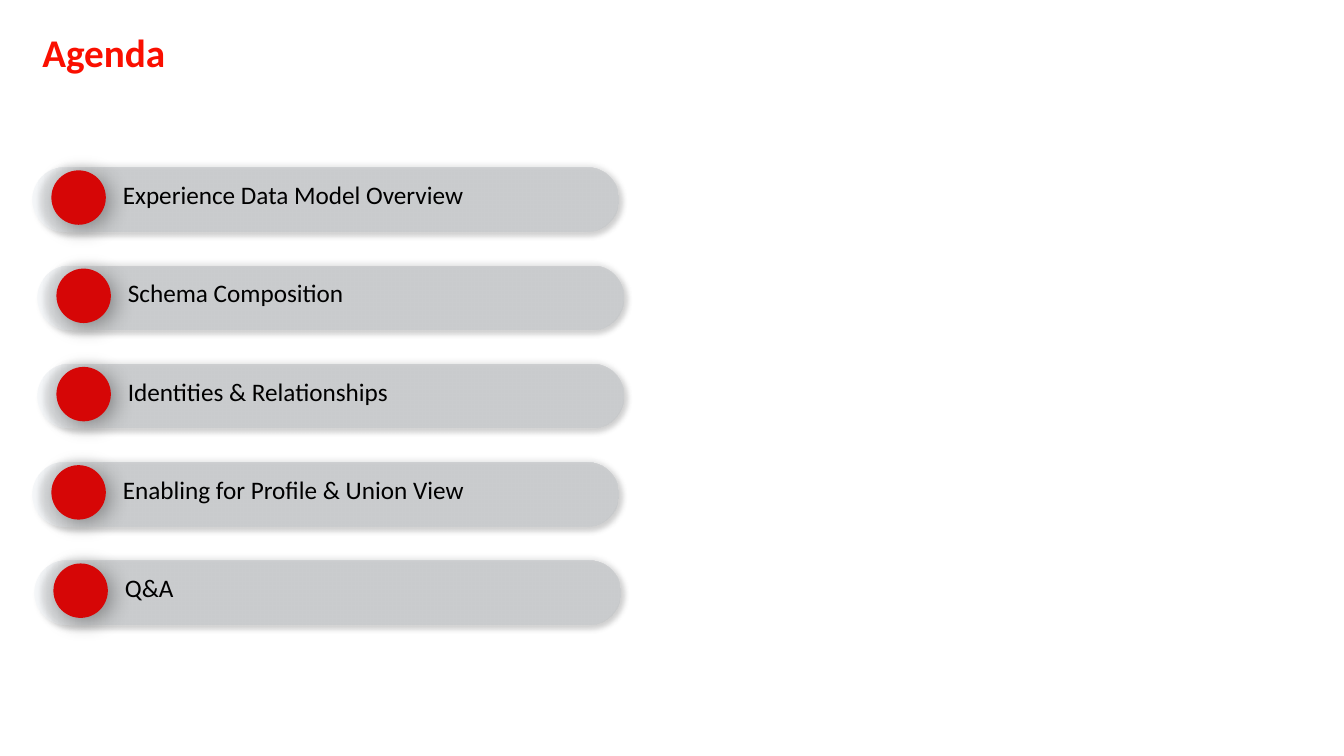
import pptx
import pptx.util
from pptx.dml.color import RGBColor
from pptx.enum.shapes import MSO_SHAPE
from pptx.enum.text import MSO_ANCHOR, PP_ALIGN
from pptx.oxml import parse_xml
from pptx.oxml.ns import nsdecls, qn
from pptx.util import Inches

THEME = {
    "font": "Calibri", "title size": 28, "item size": 18,
    "title": RGBColor.from_string("FA0F00"),
    "text": RGBColor.from_string("000000"),
    "dot": RGBColor.from_string("D60606"),
    "pale": RGBColor.from_string("F4F6F8"),
    "grey": RGBColor.from_string("DBDDDF"),
}


def add_shape(kind, left, top, width, height, alpha, blur, gap):
    """Add a borderless shape with a black shadow falling at 45 degrees."""
    shape = slide.shapes.add_shape(
        kind, Inches(left), Inches(top), Inches(width), Inches(height))
    shape.line.fill.background()
    shape.fill.solid()
    shape.shadow.inherit = False
    effects = shape.element.spPr.find(qn("a:effectLst"))
    effects.append(parse_xml(
        f'<a:outerShdw {nsdecls("a")} blurRad="{blur * 12700}" '
        f'dist="{gap * 12700}" dir="2700000" algn="tl" rotWithShape="0">'
        f'<a:srgbClr val="000000"><a:alpha val="{alpha * 1000}"/></a:srgbClr>'
        '</a:outerShdw>'))
    return shape


def set_font(para, size, color, bold=False):
    font = para.runs[0].font
    font.name = THEME["font"]
    font.size = pptx.util.Pt(size)
    font.color.rgb = color
    font.bold = bold


deck = pptx.Presentation()
deck.slide_width, deck.slide_height = Inches(13.33), Inches(7.5)
slide = deck.slides.add_slide(deck.slide_layouts[5])

# Title
title = slide.shapes.title
title.left, title.top = Inches(0.37), Inches(0.34)
title.width, title.height = Inches(11.82), Inches(0.71)
frame = title.text_frame
frame.text = "Agenda"
frame.vertical_anchor = MSO_ANCHOR.TOP
frame.margin_left = frame.margin_right = Inches(0.05)
frame.margin_top = frame.margin_bottom = Inches(0.05)
para = frame.paragraphs[0]
para.alignment = PP_ALIGN.LEFT
para.line_spacing = 0.75
set_font(para, THEME["title size"], THEME["title"], True)

# Agenda rows, each placed from the corner of its dot
items = [
    (0.51, "Experience Data Model Overview"),
    (0.56, "Schema Composition"),
    (0.56, "Identities & Relationships"),
    (0.51, "Enabling for Profile & Union View"),
    (0.53, "Q&A"),
]
first, pitch = 1.69, 0.975
for row, (left, label) in enumerate(items):
    top = first + row * pitch

    pill = add_shape(MSO_SHAPE.ROUNDED_RECTANGLE,
                     left - 0.19, top - 0.03, 5.82, 0.64, 10, 4, 3)
    pill.adjustments[0] = 0.5
    pill.fill.gradient()
    pill.fill.gradient_angle = 0
    stops = zip(pill.fill.gradient_stops, ("pale", "grey"), (0, 0.13))
    for stop, shade, place in stops:
        stop.color.rgb = THEME[shade]
        stop.position = place

    sheen = add_shape(MSO_SHAPE.ROUNDED_RECTANGLE,
                      left - 0.15, top - 0.08, 5.78, 0.7, 10, 4, 3)
    sheen.adjustments[0] = 0.5
    sheen.fill.fore_color.rgb = THEME["pale"]
    tint = sheen.element.spPr.find(qn("a:solidFill"))[0]
    tint.append(parse_xml(f'<a:alpha {nsdecls("a")} val="10000"/>'))

    dot = add_shape(MSO_SHAPE.OVAL, left, top, 0.54, 0.54, 36, 16, 4)
    dot.fill.fore_color.rgb = THEME["dot"]

    box = slide.shapes.add_textbox(Inches(left + 0.61), Inches(top - 0.08),
                                   Inches(4.93), Inches(0.64))
    frame = box.text_frame
    frame.word_wrap = True
    frame.vertical_anchor = MSO_ANCHOR.MIDDLE
    frame.text = label
    set_font(frame.paragraphs[0], THEME["item size"], THEME["text"])

deck.save("out.pptx")
